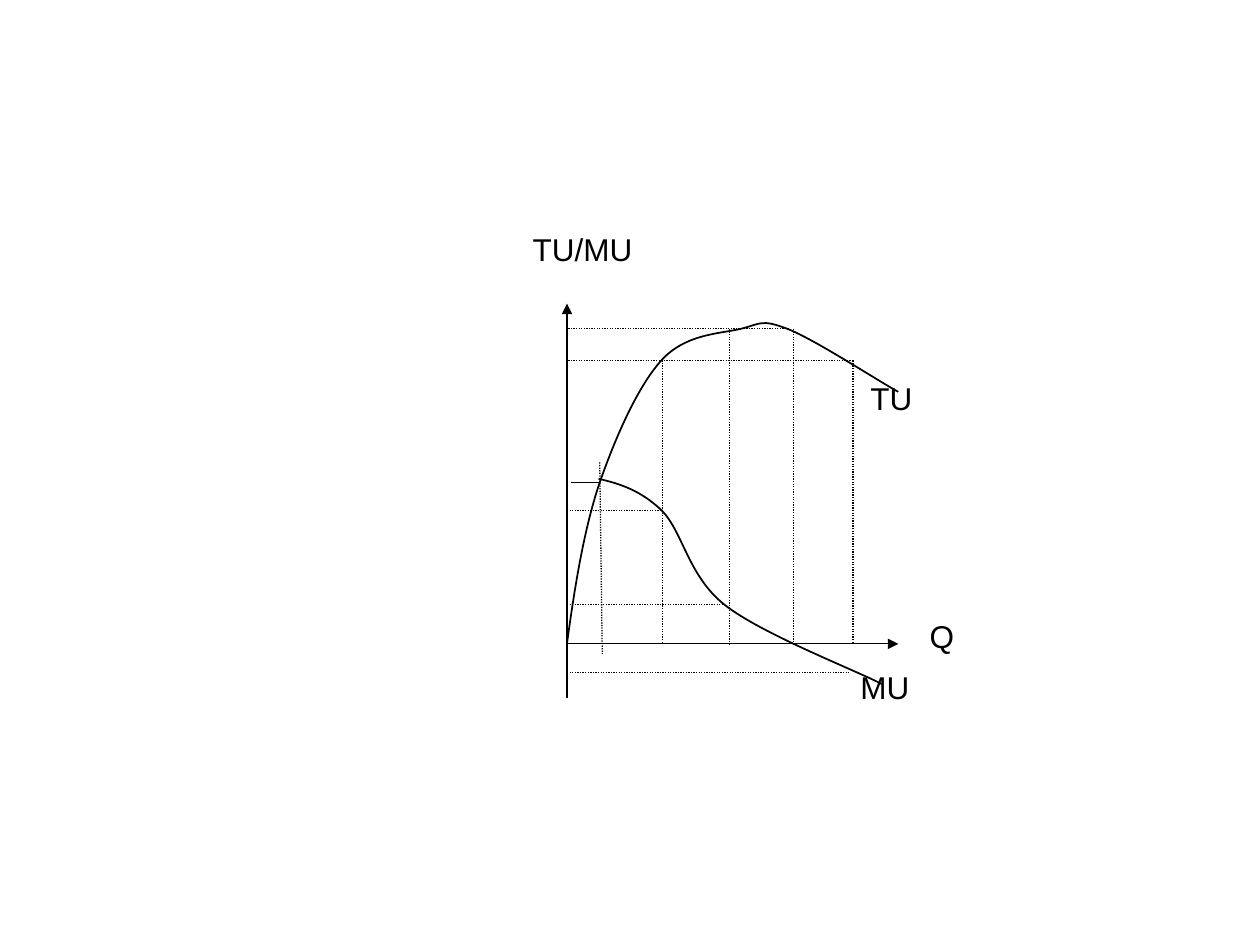
"""Draw total and marginal utility curves over quantity on one slide."""
import pptx
import pptx.util
import pptx.dml.color
import pptx.enum.dml
import pptx.enum.shapes
import pptx.enum.text
import pptx.oxml
import pptx.oxml.ns

THEME = {
    "ink": pptx.dml.color.RGBColor(0, 0, 0),
    "font": "Arial",
    "text": pptx.util.Pt(18),
    "thin": pptx.util.Pt(0.75),
    "curve": pptx.util.Pt(1),
}
SPACE = pptx.oxml.ns.nsdecls("a")

deck = pptx.Presentation()
deck.slide_width = pptx.util.Inches(10)
deck.slide_height = pptx.util.Inches(7.5)
slide = deck.slides.add_slide(deck.slide_layouts[6])
unit = deck.slide_width / 10
left, base = 4.5 * unit, 5.11 * unit


def spot(col, row):
    """Turn graph units, counted right and up from the origin, into a place."""
    return round(left + col * unit), round(base - row * unit)


def draw(start, end, dash=None, arrow=False):
    """Draw a thin straight line between two graph points."""
    line = slide.shapes.add_connector(
        pptx.enum.shapes.MSO_CONNECTOR.STRAIGHT, *spot(*start), *spot(*end))
    line.line.fill.solid()
    line.line.fill.fore_color.rgb = THEME["ink"]
    for key, value in {"width": THEME["thin"], "dash_style": dash}.items():
        setattr(line.line, key, value)
    if arrow:
        tip = pptx.oxml.parse_xml(f'<a:tailEnd {SPACE} type="triangle"/>')
        line.line._get_or_add_ln().append(tip)
    line._element.spPr.append(pptx.oxml.parse_xml(f"<a:effectLst {SPACE}/>"))


for start, end in [((0, -0.43), (0, 2.7)), ((0, 0), (2.63, 0))]:
    draw(start, end, arrow=True)

dots = pptx.enum.dml.MSO_LINE.ROUND_DOT
draw((0.26, 1.44), (0.28, -0.08), dots)
for col, row in [(0.76, 2.25), (1.29, 2.5), (1.8, 2.5), (2.27, 2.25)]:
    draw((col, row), (col, 0), dots)
for start, end, row in [(0.01, 2.26, 2.25), (0.01, 1.76, 2.5), (0, 0.75, 1.06),
                        (0, 1.25, 0.31), (0, 2.25, -0.23)]:
    draw((start, row), (end, row), dots)
draw((0.03, 1.28), (0.26, 1.28))

curves = {
    "TU": [(0, 0), (0.06, 0.44), (0.13, 0.88), (0.25, 1.25),
           (0.38, 1.63), (0.56, 2.04), (0.75, 2.25),
           (0.94, 2.46), (1.21, 2.46), (1.38, 2.5),
           (1.54, 2.54), (1.54, 2.58), (1.75, 2.5),
           (1.96, 2.42), (2.48, 2.08), (2.63, 2)],
    "MU": [(0.25, 1.31), (0.42, 1.27), (0.58, 1.22), (0.75, 1.06),
           (0.92, 0.89), (0.96, 0.54), (1.25, 0.31),
           (1.54, 0.08), (2.29, -0.21), (2.5, -0.32)],
}
for knots in curves.values():
    pen = slide.shapes.build_freeform(*spot(*knots[0]))
    pen.add_line_segments([spot(*knot) for knot in knots[1:]], close=False)
    curve = pen.convert_to_shape()
    legs = list(curve._element.iter(pptx.oxml.ns.qn("a:lnTo")))
    for first in range(0, len(legs), 3):
        bend = pptx.oxml.parse_xml(f"<a:cubicBezTo {SPACE}/>")
        legs[first].addprevious(bend)
        for leg in legs[first:first + 3]:
            bend.append(leg[0])
            leg.getparent().remove(leg)
    curve.fill.background()
    curve.line.color.rgb = THEME["ink"]
    curve.line.width = THEME["curve"]
    curve.shadow.inherit = False

labels = [("Q", 2.78, 0.26, 0.47), ("TU/MU", -0.37, 3.33, 1.1),
          ("TU", 2.31, 2.15, 0.55), ("MU", 2.23, -0.14, 0.71)]
for word, col, row, width in labels:
    box = slide.shapes.add_textbox(*spot(col, row), round(width * unit), round(0.4 * unit))
    frame = box.text_frame
    frame.text = word
    frame.word_wrap = True
    frame.auto_size = pptx.enum.text.MSO_AUTO_SIZE.SHAPE_TO_FIT_TEXT
    para = frame.paragraphs[0]
    para.alignment = pptx.enum.text.PP_ALIGN.LEFT
    font = para.runs[0].font
    for key, value in {"name": THEME["font"], "size": THEME["text"]}.items():
        setattr(font, key, value)
    font.color.rgb = THEME["ink"]

deck.save("out.pptx")
